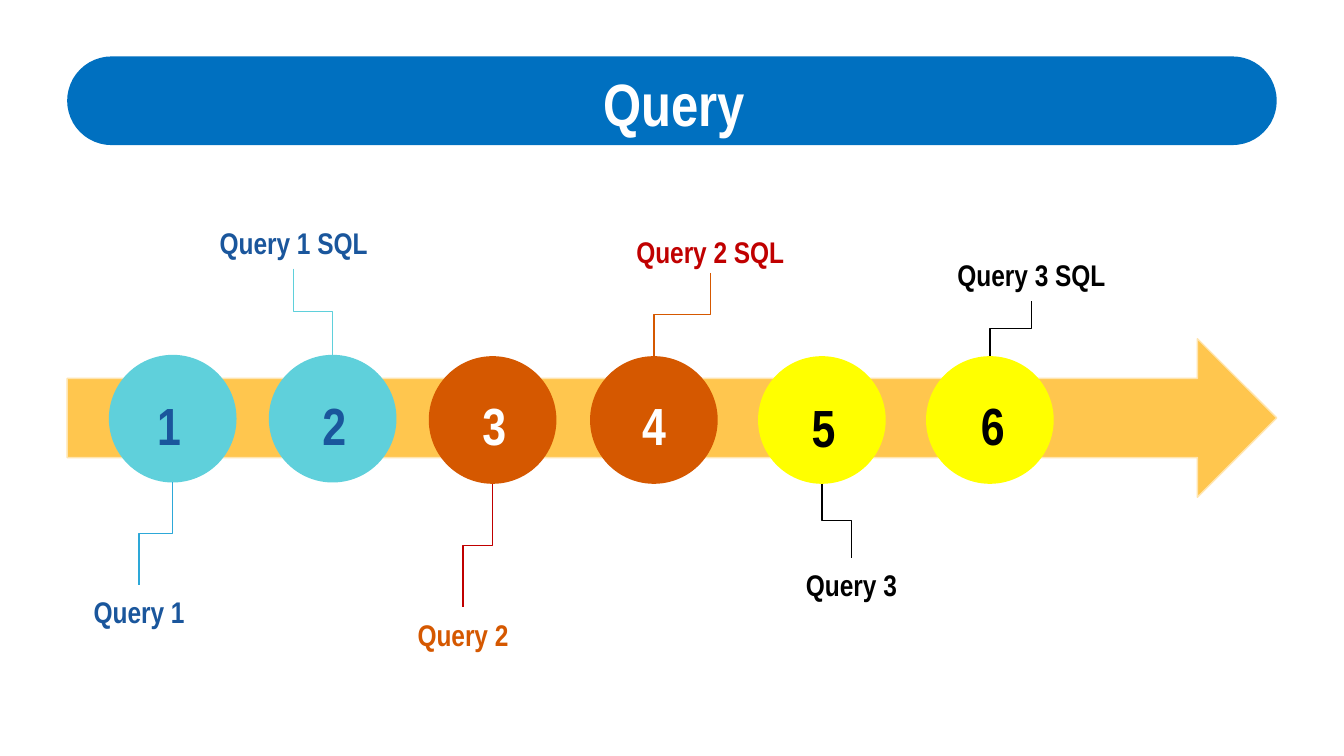
from dataclasses import dataclass

from lxml import etree
from pptx import Presentation
from pptx import util as u
from pptx.dml.color import RGBColor
from pptx.enum import shapes, text
from pptx.oxml.ns import qn


@dataclass(frozen=True)
class Theme:
    font: str = "Arial Narrow"
    title_size: int = 32
    number_size: int = 28
    label_size: int = 16
    line_width: float = 0.75
    white: str = "FFFFFF"
    black: str = "000000"
    bar: str = "0070C0"
    arrow: str = "FFC64E"
    arrow_edge: str = "FFE5AF"
    aqua: str = "5FD0DB"
    sky: str = "2DA8D8"
    navy: str = "1A569C"
    orange: str = "D55800"
    red: str = "C00000"
    yellow: str = "FFFF00"


@dataclass(frozen=True)
class Step:
    left: float
    top: float
    number_left: float
    number_top: float
    fill: str
    number_color: str
    label: str
    label_color: str
    label_box: tuple
    link_color: str


class Painter:
    def __init__(self, page, theme):
        self.page = page
        self.theme = theme

    def shape(self, kind, box, fill, edge=None):
        item = self.page.shapes.add_shape(kind, *map(u.Inches, box))
        item.shadow.inherit = False
        item.fill.solid()
        item.fill.fore_color.rgb = RGBColor.from_string(fill)
        if edge:
            item.line.color.rgb = RGBColor.from_string(edge)
            item.line.width = u.Pt(self.theme.line_width)
        else:
            item.line.fill.background()
        return item

    def text(self, words, box, size, color, inset):
        """Add one bold, centred paragraph, middle anchored."""
        item = self.page.shapes.add_textbox(*map(u.Inches, box))
        frame = item.text_frame
        frame.word_wrap = True
        frame.vertical_anchor = text.MSO_ANCHOR.MIDDLE
        frame.margin_left = frame.margin_right = u.Inches(inset)
        frame.margin_top = frame.margin_bottom = u.Inches(inset)
        para = frame.paragraphs[0]
        para.text = words
        para.alignment = text.PP_ALIGN.CENTER
        para.font.name = self.theme.font
        para.font.size = u.Pt(size)
        para.font.bold = True
        para.font.color.rgb = RGBColor.from_string(color)
        return item

    def number(self, words, left, top, color):
        item = self.text(words, (left, top, 0.29, 0.61), self.theme.number_size, color, 0.1)
        frame = item.text_frame
        frame.margin_top = frame.margin_bottom = u.Inches(0.05)
        frame.vertical_anchor = text.MSO_ANCHOR.TOP
        frame.auto_size = text.MSO_AUTO_SIZE.SHAPE_TO_FIT_TEXT
        para = frame.paragraphs[0]
        para.alignment = text.PP_ALIGN.RIGHT
        para.line_spacing = 1.15

    def elbow(self, start, end, color):
        """Draw a down-across-down link as a turned elbow connector."""
        (x1, y1), (x2, y2) = start, end
        center_x, center_y = (x1 + x2) / 2, (y1 + y2) / 2
        half_run, half_shift = (y2 - y1) / 2, abs(x2 - x1) / 2
        link = self.page.shapes.add_connector(
            shapes.MSO_CONNECTOR.ELBOW,
            u.Inches(center_x - half_run), u.Inches(center_y - half_shift),
            u.Inches(center_x + half_run), u.Inches(center_y + half_shift))
        link.line.color.rgb = RGBColor.from_string(color)
        link.line.width = u.Pt(self.theme.line_width)
        properties = link._element.spPr
        etree.SubElement(properties, qn("a:effectLst"))
        frame = properties.find(qn("a:xfrm"))
        if x2 > x1:
            frame.set("rot", str(270 * 60000))
            frame.set("flipH", "1")
        else:
            frame.set("rot", str(90 * 60000))

    def step(self, number, step):
        """Draw a numbered circle with its label and the link between them."""
        size = 0.95
        self.shape(shapes.MSO_SHAPE.OVAL, (step.left, step.top, size, size), step.fill)
        self.number(str(number), step.number_left, step.number_top, step.number_color)
        self.text(step.label, step.label_box, self.theme.label_size, step.label_color, 0.25)
        left, top, width, height = step.label_box
        label_x, circle_x = left + width / 2, step.left + size / 2
        if top > step.top:
            self.elbow((circle_x, step.top + size), (label_x, top), step.link_color)
        else:
            self.elbow((label_x, top + height), (circle_x, step.top), step.link_color)


def main():
    theme = Theme()
    deck = Presentation()
    deck.slide_width = u.Inches(10)
    deck.slide_height = deck.slide_width * 9 // 16
    painter = Painter(deck.slides.add_slide(deck.slide_layouts[6]), theme)

    painter.shape(shapes.MSO_SHAPE.RIGHT_ARROW, (0.5, 2.52, 9, 1.18),
                  theme.arrow, theme.arrow_edge)

    steps = [
        Step(0.81, 2.64, 1.07, 2.81, theme.aqua, theme.navy,
             "Query 1", theme.navy, (0.34, 4.35, 1.39, 0.4), theme.sky),
        Step(2, 2.64, 2.3, 2.81, theme.aqua, theme.navy,
             "Query 1 SQL", theme.navy, (1.07, 1.61, 2.23, 0.39), theme.aqua),
        Step(3.19, 2.65, 3.49, 2.81, theme.orange, theme.white,
             "Query 2", theme.orange, (2.75, 4.52, 1.39, 0.4), theme.red),
        Step(4.39, 2.65, 4.68, 2.81, theme.orange, theme.white,
             "Query 2 SQL", theme.red, (4.17, 1.72, 2.23, 0.31), theme.orange),
        Step(5.64, 2.65, 5.94, 2.82, theme.yellow, theme.black,
             "Query 3", theme.black, (5.64, 4.15, 1.39, 0.4), theme.black),
        Step(6.89, 2.65, 7.2, 2.81, theme.yellow, theme.black,
             "Query 3 SQL", theme.black, (6.56, 1.85, 2.23, 0.39), theme.black),
    ]
    for number, step in enumerate(steps, start=1):
        painter.step(number, step)

    bar = painter.shape(shapes.MSO_SHAPE.ROUNDED_RECTANGLE, (0.5, 0.42, 9, 0.66), theme.bar)
    bar.adjustments[0] = 0.5
    painter.text("Query", (0.64, 0.5, 8.75, 0.52), theme.title_size, theme.white, 0.1)

    deck.save("out.pptx")


if __name__ == "__main__":
    main()
